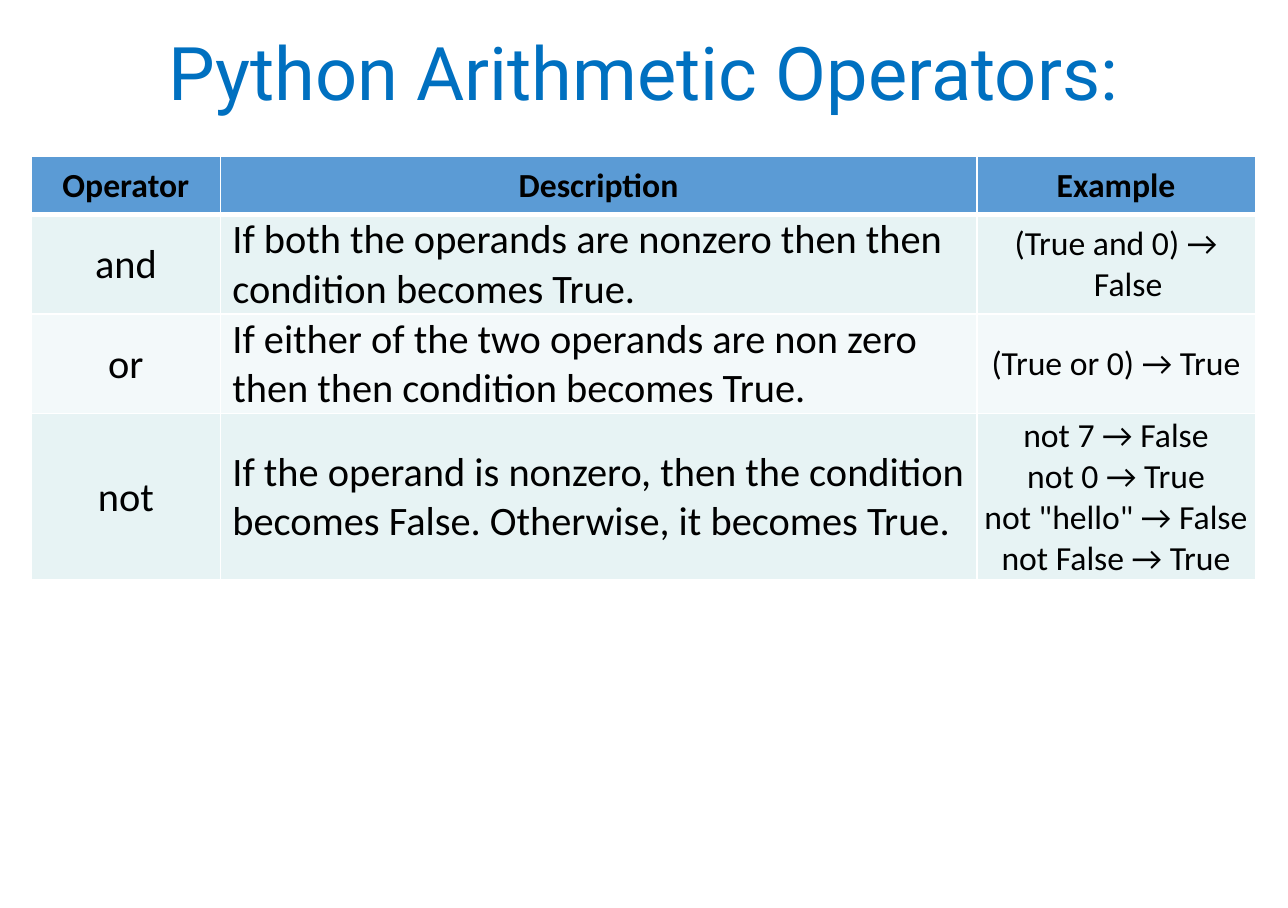
from lxml import etree
from pptx import Presentation
from pptx.dml.color import RGBColor
from pptx.enum import text
from pptx.oxml import ns
from pptx.util import Inches, Pt

TITLE_BLUE = RGBColor(0x00, 0x70, 0xC0)
HEADER_BLUE = RGBColor(0x5B, 0x9B, 0xD5)
BAND_DARK = RGBColor(0xE7, 0xF3, 0xF4)
BAND_LIGHT = RGBColor(0xF3, 0xF9, 0xFA)
BLACK = RGBColor(0, 0, 0)
WHITE = RGBColor(0xFF, 0xFF, 0xFF)

COLUMN_WIDTHS = [1.56, 6.25, 2.3]
ROW_HEIGHTS = [0.48, 0.82, 0.82, 1.37]
BODY_SIZES = [24, 24, 20]
ROWS = [
    ["Operator", "Description", "Example"],
    ["and",
     "If both the operands are nonzero then then condition becomes True.",
     "(True and 0) → False"],
    ["or",
     "If either of the two operands are non zero then then condition becomes True.",
     "(True or 0) → True"],
    ["not",
     "If the operand is nonzero, then the condition becomes False. Otherwise, it becomes True.",
     'not 7 → False\nnot 0 → True\nnot "hello" → False\nnot False → True'],
]


def add_title(slide, left, top, width, height):
    sp = slide.shapes.title
    sp.left, sp.top = Inches(left), Inches(top)
    sp.width, sp.height = Inches(width), Inches(height)
    tf = sp.text_frame
    tf.text = "Python Arithmetic Operators:"
    tf.vertical_anchor = text.MSO_ANCHOR.MIDDLE
    p = tf.paragraphs[0]
    p.alignment = text.PP_ALIGN.CENTER
    p.line_spacing = 0.9
    font = p.runs[0].font
    font.name, font.size = "Roboto", Pt(44)
    font.color.rgb = TITLE_BLUE


def set_borders(cell, row):
    tc_pr = cell._tc.get_or_add_tcPr()
    widths = {"L": 1, "R": 1, "T": 3 if row == 1 else 1, "B": 3 if row == 0 else 1}
    for i, (side, points) in enumerate(widths.items()):
        ln = etree.Element(ns.qn(f"a:ln{side}"), w=str(Pt(points)))
        fill = etree.SubElement(ln, ns.qn("a:solidFill"))
        etree.SubElement(fill, ns.qn("a:srgbClr"), val=str(WHITE))
        tc_pr.insert(i, ln)


def fill_cell(cell, row, col, value):
    header = row == 0
    description = col == 1 and not header
    cell.text = value
    cell.vertical_anchor = text.MSO_ANCHOR.MIDDLE
    cell.margin_left = Inches(0.1 if description else 0.01)
    cell.margin_top = cell.margin_right = Inches(0.01)
    cell.margin_bottom = 0
    cell.fill.solid()
    cell.fill.fore_color.rgb = HEADER_BLUE if header else BAND_DARK if row % 2 else BAND_LIGHT
    set_borders(cell, row)
    paragraphs = cell.text_frame.paragraphs
    for p in paragraphs:
        p.alignment = text.PP_ALIGN.LEFT if description else text.PP_ALIGN.CENTER
        if col == 2 and not header and len(paragraphs) == 1:
            p_pr = p._p.get_or_add_pPr()
            p_pr.set("marL", str(Inches(0.2)))
            p_pr.set("indent", str(Inches(-0.2)))
        for r in p.runs:
            r.font.name = "Calibri"
            r.font.size = Pt(20 if header else BODY_SIZES[col])
            r.font.bold = header
            r.font.color.rgb = BLACK


def add_operator_table(slide, left, top):
    frame = slide.shapes.add_table(
        len(ROWS), len(COLUMN_WIDTHS), Inches(left), Inches(top),
        Inches(sum(COLUMN_WIDTHS)), Inches(sum(ROW_HEIGHTS)))
    table = frame.table
    for column, width in zip(table.columns, COLUMN_WIDTHS):
        column.width = Inches(width)
    for row, height in zip(table.rows, ROW_HEIGHTS):
        row.height = Inches(height)
    for i, values in enumerate(ROWS):
        for j, value in enumerate(values):
            fill_cell(table.cell(i, j), i, j, value)


def main():
    prs = Presentation()
    prs.slide_width, prs.slide_height = Inches(10.64), Inches(7.5)
    slide = prs.slides.add_slide(prs.slide_layouts[5])
    add_title(slide, 0, 0, 10.64, 1.27)
    add_operator_table(slide, 0.26, 1.29)
    prs.save("out.pptx")


if __name__ == "__main__":
    main()
